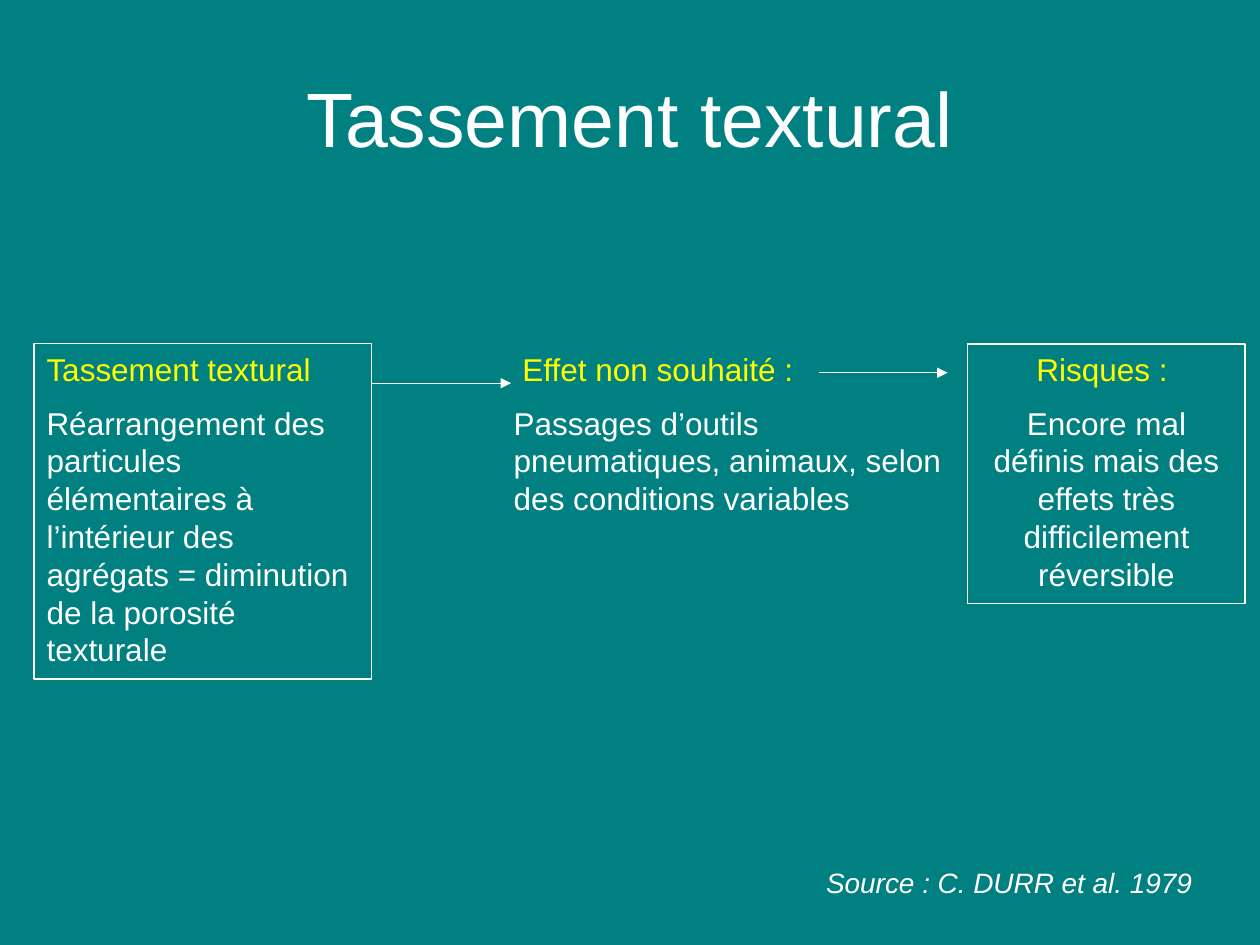
"""Build the slide on textural compaction: cause, unwanted effect and risks."""
from lxml.etree import SubElement
from pptx import Presentation
from pptx.dml.color import RGBColor
from pptx.enum.shapes import MSO_CONNECTOR as Connector, MSO_SHAPE as Shape
from pptx.enum.text import MSO_ANCHOR as Anchor, PP_ALIGN as Align
from pptx.oxml.ns import qn
from pptx.util import Pt

THEME = {
    "font": "Arial",
    "background": RGBColor(0x00, 0x80, 0x80),
    "text": RGBColor(0xFF, 0xFF, 0xFF),
    "heading": RGBColor(0xFF, 0xFF, 0x00),
    "title_size": 44,
    "body_size": 18,
    "source_size": 16,
    "line_width": 0.75,
    "paragraph_gap": 9,
}
TITLE = "Tassement textural"
SOURCE = "Source : C. DURR et al. 1979"
COLUMN_TOP = 196.5
COLUMNS = [
    {"left": 19.5, "width": 193, "height": 191.5, "framed": True, "align": Align.LEFT,
     "heading": "Tassement textural",
     "body": "Réarrangement des particules élémentaires à l’intérieur des agrégats"
             " = diminution de la porosité texturale"},
    {"left": 286.5, "width": 260.5, "height": 104.5, "framed": False, "align": Align.LEFT,
     "heading": " Effet non souhaité :",
     "body": "Passages d’outils pneumatiques, animaux, selon des conditions variables"},
    {"left": 553, "width": 158.5, "height": 148.5, "framed": True, "align": Align.CENTER,
     "heading": "Risques : ",
     "body": "Encore mal définis mais des effets très difficilement réversible"},
]
ARROWS = [(212.5, 292, 219), (468, 541.5, 213)]


def write(para, text, size, color, align, italic=False):
    para.text = text
    para.alignment = align
    para.font.name = THEME["font"]
    para.font.size = Pt(size)
    para.font.color.rgb = color
    para.font.italic = italic


def add_text(page, left, top, width, height, framed=False, anchor=Anchor.TOP):
    place = Pt(left), Pt(top), Pt(width), Pt(height)
    if framed:
        box = page.shapes.add_shape(Shape.RECTANGLE, *place)
        box.shadow.inherit = False
        box.fill.background()
        box.line.color.rgb = THEME["text"]
        box.line.width = Pt(THEME["line_width"])
    else:
        box = page.shapes.add_textbox(*place)
    box.text_frame.word_wrap = True
    box.text_frame.vertical_anchor = anchor
    return box.text_frame


def add_column(page, column):
    frame = add_text(page, column["left"], COLUMN_TOP, column["width"],
                     column["height"], column["framed"])
    size, align = THEME["body_size"], column["align"]
    write(frame.paragraphs[0], column["heading"], size, THEME["heading"], align)
    body = frame.add_paragraph()
    write(body, column["body"], size, THEME["text"], align)
    body.space_before = Pt(THEME["paragraph_gap"])


def add_arrow(page, start, end, height):
    arrow = page.shapes.add_connector(
        Connector.STRAIGHT, Pt(start), Pt(height), Pt(end), Pt(height))
    arrow.line.color.rgb = THEME["text"]
    arrow.line.width = Pt(THEME["line_width"])
    SubElement(arrow.line._get_or_add_ln(), qn("a:tailEnd"), type="triangle")
    SubElement(arrow._element.spPr, qn("a:effectLst"))


def main():
    deck = Presentation()
    deck.slide_width, deck.slide_height = Pt(720), Pt(540)
    page = deck.slides.add_slide(deck.slide_layouts[6])
    page.background.fill.solid()
    page.background.fill.fore_color.rgb = THEME["background"]

    title = add_text(page, 36, 21.5, 648, 90, anchor=Anchor.MIDDLE)
    write(title.paragraphs[0], TITLE, THEME["title_size"], THEME["text"], Align.CENTER)
    for column in COLUMNS:
        add_column(page, column)
    for arrow in ARROWS:
        add_arrow(page, *arrow)
    source = add_text(page, 348.5, 491, 340, 26.5)
    write(source.paragraphs[0], SOURCE, THEME["source_size"], THEME["text"],
          Align.RIGHT, italic=True)
    deck.save("out.pptx")


if __name__ == "__main__":
    main()
